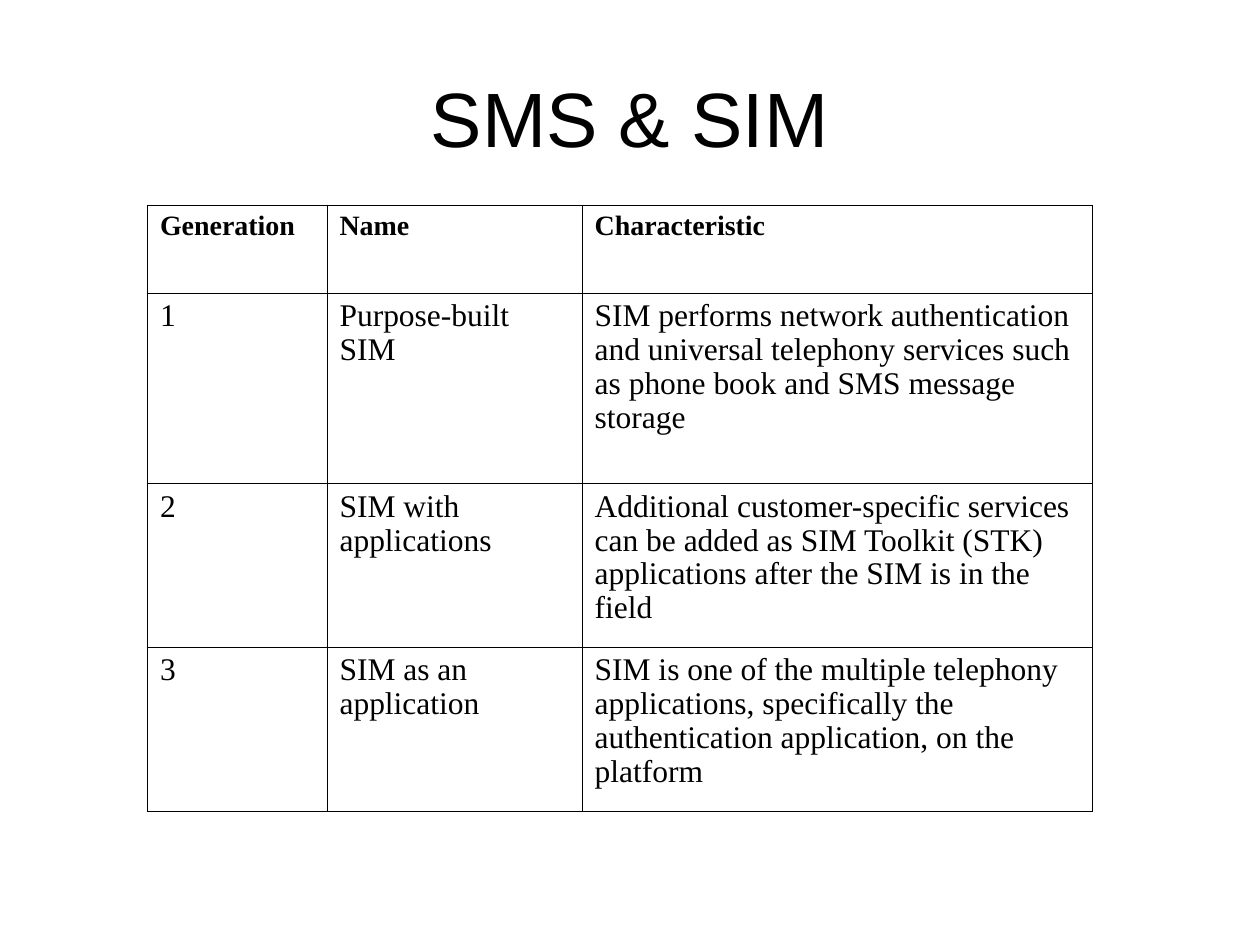
from dataclasses import dataclass

from lxml.etree import SubElement
from pptx import Presentation
from pptx.dml.color import RGBColor
from pptx.enum.text import MSO_ANCHOR, PP_ALIGN
from pptx.oxml.ns import qn
from pptx.util import Inches, Pt


@dataclass(frozen=True)
class Theme:
    ink: str = "000000"
    paper: str = "FFFFFF"
    title_font: str = "Arial"
    table_font: str = "Times New Roman"
    title_size: int = 44
    header_size: int = 16
    body_size: int = 18
    line_spacing: float = 0.97
    outer_line: float = 0.96
    inner_line: float = 0.45


@dataclass(frozen=True)
class Box:
    left: int
    top: int
    width: int
    height: int


THEME = Theme()
COLUMN_SHARES = (0.19, 0.27, 0.54)
ROW_HEIGHTS = (0.7, 1.51, 1.3, 1.3)
GENERATIONS = (
    ("Generation", "Name", "Characteristic"),
    ("1", "Purpose-built SIM",
     "SIM performs network authentication and universal telephony services "
     "such as phone book and SMS message storage"),
    ("2", "SIM with applications",
     "Additional customer-specific services can be added as SIM Toolkit (STK) "
     "applications after the SIM is in the field"),
    ("3", "SIM as an application",
     "SIM is one of the multiple telephony applications, specifically the "
     "authentication application, on the platform"),
)


def add_span(para, text, font_name, size, bold=False):
    span = para.add_run()
    span.text = text
    span.font.name = font_name
    span.font.size = Pt(size)
    span.font.bold = bold
    span.font.color.rgb = RGBColor.from_string(THEME.ink)


def add_title(page, box, text):
    title = page.shapes.title
    title.left, title.top = box.left, box.top
    title.width, title.height = box.width, box.height
    title.text_frame.vertical_anchor = MSO_ANCHOR.MIDDLE
    para = title.text_frame.paragraphs[0]
    para.alignment = PP_ALIGN.CENTER
    add_span(para, text, THEME.title_font, THEME.title_size)


def set_borders(cell, outer_sides):
    properties = cell._tc.get_or_add_tcPr()
    for side in "LRTB":
        width = THEME.outer_line if side in outer_sides else THEME.inner_line
        line = SubElement(properties, qn(f"a:ln{side}"), w=str(Pt(width)))
        fill = SubElement(line, qn("a:solidFill"))
        SubElement(fill, qn("a:srgbClr"), val=THEME.ink)


def fill_cell(cell, text, is_header, outer_sides):
    set_borders(cell, outer_sides)
    cell.fill.solid()
    cell.fill.fore_color.rgb = RGBColor.from_string(THEME.paper)
    cell.margin_left = cell.margin_right = Inches(0.1)
    cell.margin_top = cell.margin_bottom = Inches(0.05)
    cell.vertical_anchor = MSO_ANCHOR.TOP
    para = cell.text_frame.paragraphs[0]
    para.line_spacing = THEME.line_spacing
    size = THEME.header_size if is_header else THEME.body_size
    add_span(para, text, THEME.table_font, size, is_header)


def add_generation_table(page, box, rows):
    last_row, last_column = len(rows) - 1, len(COLUMN_SHARES) - 1
    table = page.shapes.add_table(
        len(rows), len(COLUMN_SHARES), box.left, box.top, box.width, box.height
    ).table
    table.horz_banding = False
    for column, share in zip(table.columns, COLUMN_SHARES):
        column.width = int(box.width * share)
    for row, height in zip(table.rows, ROW_HEIGHTS):
        row.height = int(box.height * height / sum(ROW_HEIGHTS))
    for row_index, texts in enumerate(rows):
        for column_index, text in enumerate(texts):
            edges = {"L": column_index == 0, "R": column_index == last_column,
                     "T": row_index == 0, "B": row_index == last_row}
            outer_sides = [side for side, is_outer in edges.items() if is_outer]
            fill_cell(table.cell(row_index, column_index), text,
                      row_index == 0, outer_sides)


def main():
    deck = Presentation()
    deck.slide_width, deck.slide_height = Inches(10), Inches(7.5)
    page = deck.slides.add_slide(deck.slide_layouts.get_by_name("Title Only"))
    page.background.fill.solid()
    page.background.fill.fore_color.rgb = RGBColor.from_string(THEME.paper)
    title_box = Box(Inches(0.5), Inches(0.3), Inches(9), Inches(1.25))
    table_box = Box(Inches(1.17), Inches(1.63), Inches(7.5),
                    Inches(sum(ROW_HEIGHTS)))
    add_title(page, title_box, "SMS & SIM")
    add_generation_table(page, table_box, GENERATIONS)
    deck.save("out.pptx")


if __name__ == "__main__":
    main()
